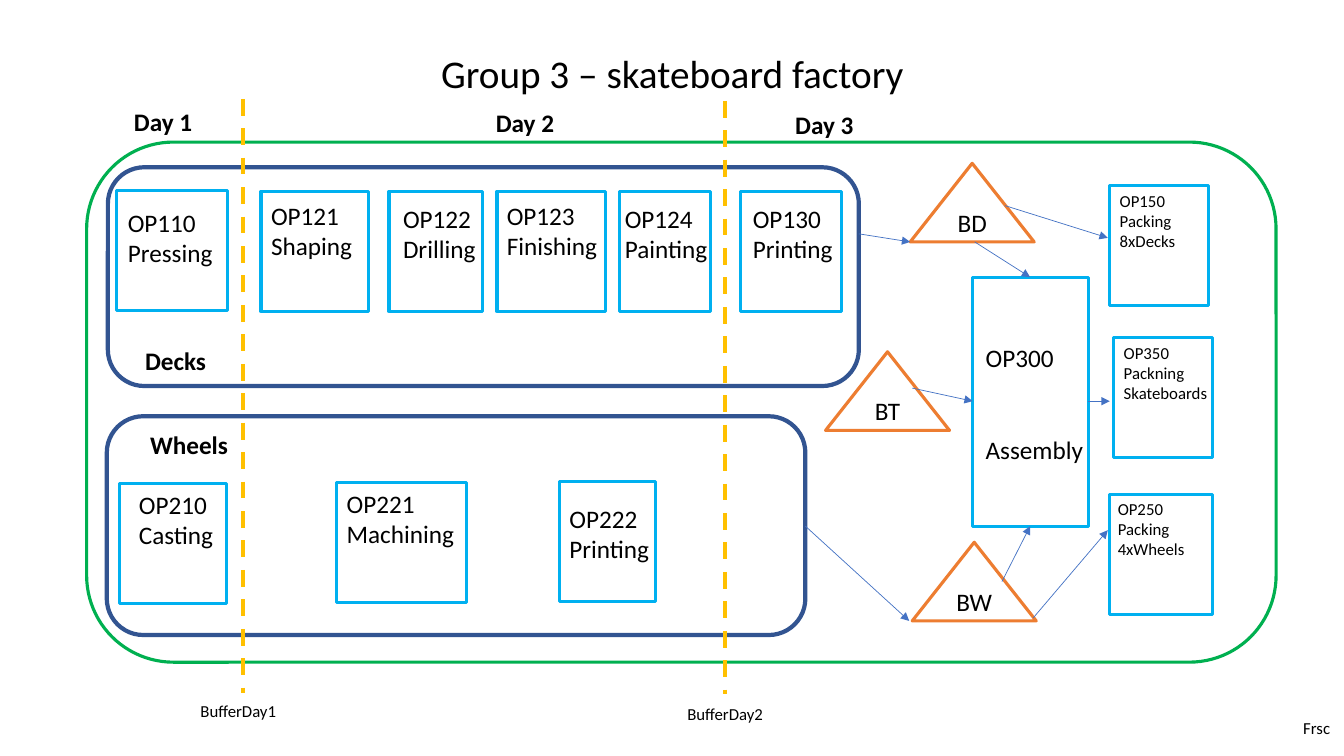
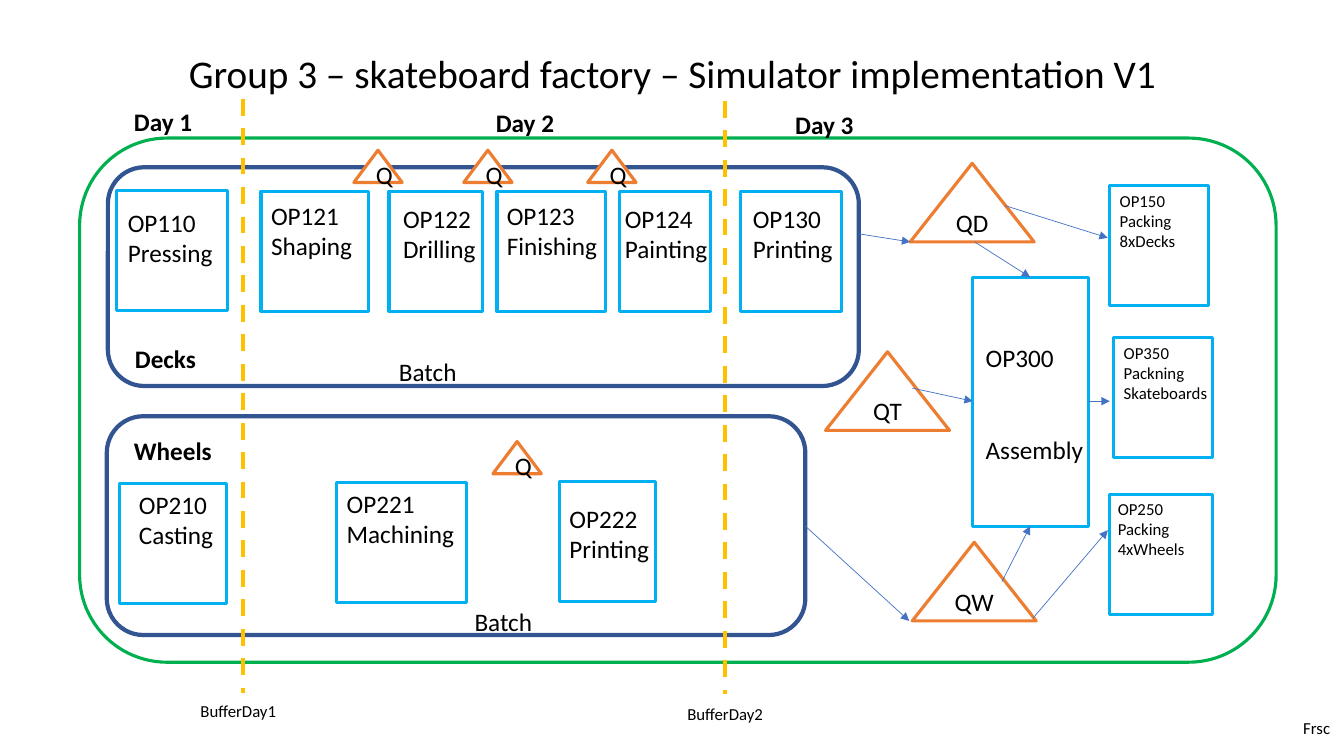
import dataclasses
import typing

import lxml.etree
import pptx
import pptx.dml.color
import pptx.enum.dml
import pptx.enum.shapes
import pptx.enum.text
import pptx.oxml.ns
import pptx.util

# Grid: ten columns or rows to the inch
CELL = pptx.util.Inches(0.1)
WIDE, HIGH = 133.33, 75

# Shared style
FONT = "Calibri"
INK, PAPER = "000000", "FFFFFF"
GREEN, NAVY, SKY = "00B050", "325491", "00B0F0"
GOLD, RUST, BLUE = "FFC000", "ED7D31", "4472C4"
BIG, MID, SMALL = 28, 18, 12
TWO_LINES = 44

KIND = pptx.enum.shapes.MSO_SHAPE
ALIGN = pptx.enum.text.PP_ALIGN
ANCHOR = pptx.enum.text.MSO_ANCHOR


class Area(typing.NamedTuple):
    col: float
    row: float
    cols: float
    rows: float


@dataclasses.dataclass(frozen=True)
class Label:
    text: str
    area: Area
    size: int = MID
    bold: bool = False
    gap: float = 0


@dataclasses.dataclass(frozen=True)
class Step:
    box: Area
    label: Label


@dataclasses.dataclass(frozen=True)
class Line:
    start: tuple[float, float]
    end: tuple[float, float]


@dataclasses.dataclass(frozen=True)
class Plan:
    title: str
    frame: Area
    decks: tuple[float, float]
    wheels: tuple[float, float]
    mark: str
    queues: tuple[tuple[float, float], ...] = ()
    notes: tuple[tuple[float, float], ...] = ()


def step(box: tuple, text: str, spot: tuple, size: int = MID,
         rows: float = 7.1, gap: float = 0) -> Step:
    col, row, cols = spot
    return Step(Area(*box), Label(text, Area(col, row, cols, rows), size, gap=gap))


# Work steps; "\v" breaks a line, "\n" starts a paragraph
STEPS = (
    step((11.6, 18.9, 11, 11.9), "OP110\vPressing", (11.7, 20.1, 11)),
    step((25.9, 19, 10.7, 11.9), "OP121\vShaping", (25.9, 19.4, 11.8)),
    step((38.6, 19, 9.3, 11.9), "OP122\vDrilling", (39, 19.7, 11.4)),
    step((49.3, 19, 10.8, 11.9), "OP123\vFinishing", (49.3, 19.4, 11.4)),
    step((61.5, 19, 9, 11.9), "OP124\vPainting", (61, 19.7, 11.8)),
    step((73.5, 19, 10, 11.9), "OP130\nPrinting", (73.7, 19.7, 11.5)),
    step((11.9, 48, 10.6, 11.9), "OP210\vCasting", (12.8, 48, 10.6)),
    step((33.4, 47.9, 12.9, 11.9), "OP221\vMachining", (33.4, 47.9, 12.9)),
    step((55.5, 47.8, 9.5, 11.9), "OP222\vPrinting", (55.5, 49.4, 11.9)),
    step((96.5, 27.5, 11.5, 24.7), "OP300\nAssembly", (96.8, 33.5, 13.2),
         rows=13.1, gap=TWO_LINES),
    step((110.1, 18.4, 9.8, 11.9), "OP150\vPacking\v8xDecks",
         (110.1, 18.4, 9.8), SMALL),
    step((110.5, 33.5, 9.8, 11.9), "OP350\vPackning\vSkateboards",
         (110.5, 33.5, 10.6), SMALL),
    step((110.1, 49.1, 10.2, 11.9), "OP250\vPacking\n4xWheels",
         (109.9, 49, 10.2), SMALL),
)

# Lanes, day borders and stock points
LANES = (Area(10.7, 16.6, 74.5, 21.7), Area(10.6, 41.3, 69.3, 21.7))
BORDERS = (Line((24.1, 9.8), (24.1, 68.8)), Line((71.9, 10), (71.9, 68.9)))
STOCKS = {"D": (90.3, 16.2), "W": (90.5, 53.8), "T": (81.9, 34.9)}
ARROWS = (
    Line((85.2, 23.2), (90.3, 24)),
    Line((96.7, 24), (102.2, 27.5)),
    Line((99.7, 20.4), (109.9, 23.6)),
    Line((99.4, 57.7), (102.2, 52.2)),
    Line((102.5, 61.3), (109.9, 52.6)),
    Line((79.9, 52.2), (90.2, 61.6)),
    Line((90.5, 38.5), (96.5, 39.8)),
    Line((107.9, 39.8), (110.1, 39.8)),
)
LABELS = (
    Label("Day 1", Area(12.3, 10.1, 8.8, 4), bold=True),
    Label("Day 2", Area(48.2, 10.2, 8.1, 4), bold=True),
    Label("Day 3", Area(77.9, 10.4, 8.1, 4), bold=True),
    Label("BufferDay1", Area(18.9, 69, 13.1, 3), SMALL),
    Label("BufferDay2", Area(67.2, 69.3, 13.1, 3), SMALL),
    Label("Frsc", Area(128.3, 70.7, 5.1, 3), SMALL),
)

PLANS = (
    Plan("Group 3 – skateboard factory", Area(8.6, 14.1, 118, 51.6),
         decks=(13.4, 33.8), wheels=(13.9, 42.1), mark="B"),
    Plan("Group 3 – skateboard factory – Simulator implementation V1",
         Area(7.9, 13.7, 118.7, 52), decks=(12.4, 33.6), wheels=(12.3, 42.7),
         mark="Q",
         queues=((48.9, 43.8), (35.1, 14.9), (46, 14.9), (58.3, 14.9)),
         notes=((38.6, 34.9), (46.1, 59.7))),
)


def tint(code: str) -> pptx.dml.color.RGBColor:
    return pptx.dml.color.RGBColor.from_string(code)


def span(cells: float) -> int:
    return round(cells * CELL)


def ink(frame: typing.Any, size: int, bold: bool = False) -> None:
    for par in frame.paragraphs:
        for run in par.runs:
            run.font.name = FONT
            run.font.size = pptx.util.Pt(size)
            run.font.bold = bold
            run.font.color.rgb = tint(INK)


def draw_shape(slide: typing.Any, kind: typing.Any, area: Area, edge: str,
               width: float = 2.25, fill: str = "") -> typing.Any:
    shape = slide.shapes.add_shape(kind, *map(span, area))
    shape.shadow.inherit = False
    if fill:
        shape.fill.solid()
        shape.fill.fore_color.rgb = tint(fill)
    else:
        shape.fill.background()
    shape.line.color.rgb = tint(edge)
    shape.line.width = pptx.util.Pt(width)
    return shape


def draw_label(slide: typing.Any, label: Label) -> typing.Any:
    frame = slide.shapes.add_textbox(*map(span, label.area)).text_frame
    frame.word_wrap = True
    frame.text = label.text
    for par in frame.paragraphs[1:]:
        par.space_before = pptx.util.Pt(label.gap)
    ink(frame, label.size, label.bold)
    return frame


def draw_title(slide: typing.Any, text: str) -> None:
    frame = draw_label(slide, Label(text, Area(16.7, 4.9, 100, 5.2), BIG))
    frame.vertical_anchor = ANCHOR.BOTTOM
    frame.paragraphs[0].alignment = ALIGN.CENTER
    frame.paragraphs[0].line_spacing = 0.9


def draw_peak(slide: typing.Any, text: str, area: Area) -> None:
    shape = draw_shape(slide, KIND.ISOSCELES_TRIANGLE, area, RUST, fill=PAPER)
    frame = shape.text_frame
    frame.text = text
    frame.vertical_anchor = ANCHOR.MIDDLE
    frame.paragraphs[0].alignment = ALIGN.CENTER
    ink(frame, MID)


def draw_line(slide: typing.Any, line: Line, code: str, width: float,
              dash: bool = False, head: bool = False) -> None:
    kind = pptx.enum.shapes.MSO_CONNECTOR.STRAIGHT
    link = slide.shapes.add_connector(kind, *map(span, line.start + line.end))
    link.line.color.rgb = tint(code)
    link.line.width = pptx.util.Pt(width)
    if dash:
        link.line.dash_style = pptx.enum.dml.MSO_LINE.DASH
    name = pptx.oxml.ns.qn
    props = link._element.spPr
    if head:
        tip = lxml.etree.SubElement(props.find(name("a:ln")), name("a:tailEnd"))
        tip.set("type", "triangle")
    lxml.etree.SubElement(props, name("a:effectLst"))


def draw_plan(slide: typing.Any, plan: Plan) -> None:
    draw_title(slide, plan.title)

    # Frames and steps
    for lane in LANES:
        draw_shape(slide, KIND.ROUNDED_RECTANGLE, lane, NAVY, 3)
    draw_shape(slide, KIND.ROUNDED_RECTANGLE, plan.frame, GREEN)
    for item in STEPS:
        draw_shape(slide, KIND.RECTANGLE, item.box, SKY)
        draw_label(slide, item.label)

    # Day borders and labels
    for line in BORDERS:
        draw_line(slide, line, GOLD, 3, dash=True)
    for label in LABELS:
        draw_label(slide, label)
    draw_label(slide, Label("Decks", Area(*plan.decks, 8.1, 4), bold=True))
    draw_label(slide, Label("Wheels", Area(*plan.wheels, 10, 4), bold=True))

    # Stock points and flow
    for part, spot in STOCKS.items():
        draw_peak(slide, plan.mark + part, Area(*spot, 12.3, 7.8))
    for line in ARROWS:
        draw_line(slide, line, BLUE, 0.5, head=True)
    for spot in plan.queues:
        draw_peak(slide, plan.mark, Area(*spot, 4.8, 3.2))
    for spot in plan.notes:
        draw_label(slide, Label("Batch", Area(*spot, 9.6, 4)))


def main() -> None:
    deck = pptx.Presentation()
    deck.slide_width, deck.slide_height = span(WIDE), span(HIGH)
    blank = deck.slide_layouts[6]
    for plan in PLANS:
        draw_plan(deck.slides.add_slide(blank), plan)
    deck.save("out.pptx")


main()
